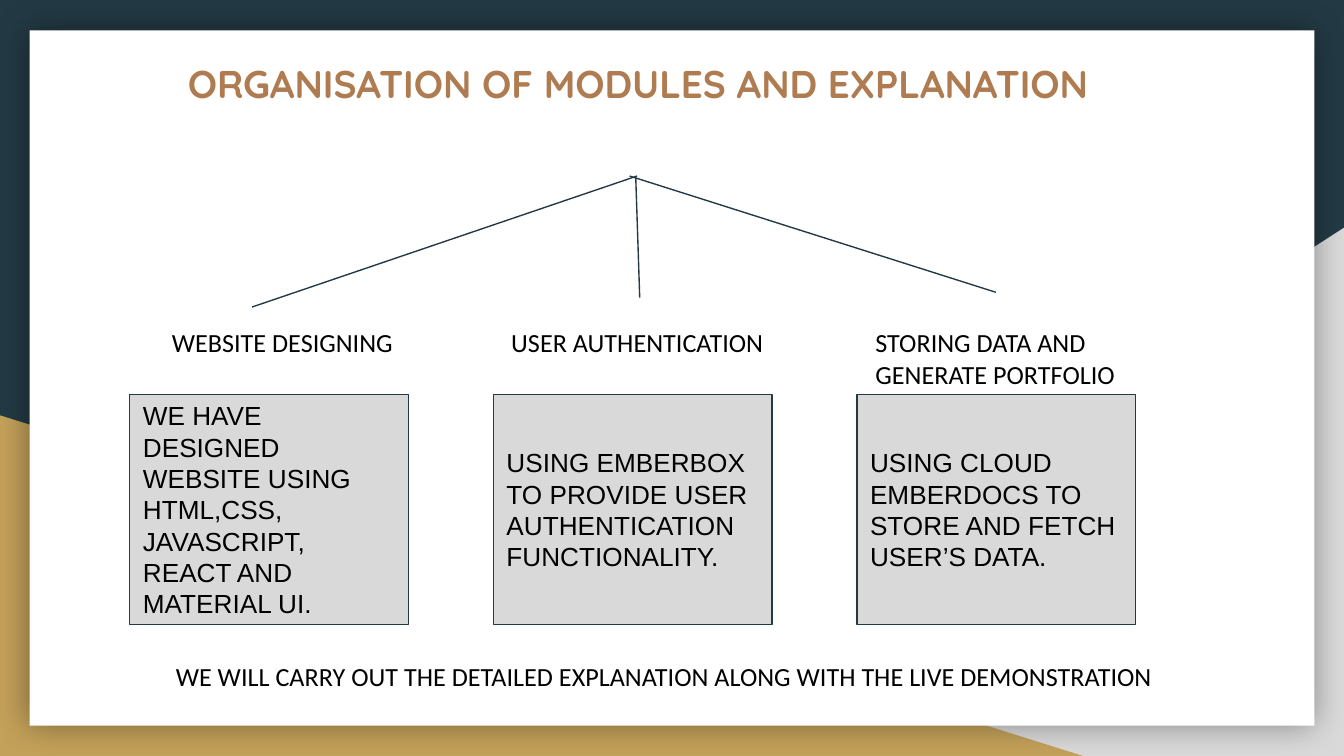
from dataclasses import dataclass

import pptx
import pptx.dml.color
import pptx.enum.shapes
import pptx.enum.text
import pptx.oxml.ns
import pptx.util
from lxml import etree

EMU_PER_PX = 4572
SHAPES = pptx.enum.shapes.MSO_SHAPE
ANCHOR = pptx.enum.text.MSO_ANCHOR


@dataclass(frozen=True)
class Theme:
    navy: str = "233A44"
    gold: str = "C4A15A"
    grey: str = "D9D9D9"
    white: str = "FFFFFF"
    black: str = "000000"
    title: str = "AF7B51"
    title_font: str = "Quicksand"
    label_font: str = "Calibri"
    body_font: str = "Arial"
    title_size: float = 20.7
    body_size: float = 14
    line_width: float = 0.75


THEME = Theme()


@dataclass(frozen=True)
class Box:
    left: int
    top: int
    width: int
    height: int


@dataclass(frozen=True)
class TextStyle:
    font: str
    size: float
    color: str
    bold: bool = False


@dataclass(frozen=True)
class Module:
    label: str
    label_box: Box
    paragraphs: tuple[str, ...]
    branch_start: tuple[int, int]
    branch_end: tuple[int, int]


TITLE_STYLE = TextStyle(THEME.title_font, THEME.title_size, THEME.title, True)
LABEL_STYLE = TextStyle(THEME.label_font, THEME.body_size, THEME.black)
BODY_STYLE = TextStyle(THEME.body_font, THEME.body_size, THEME.black)

CARD_LEFT = 193
CARD_PITCH = 541

MODULES = (
    Module("WEBSITE DESIGNING", Box(236, 466, 400, 88),
           ("WE HAVE DESIGNED WEBSITE USING HTML,CSS,", "JAVASCRIPT,",
            "REACT AND", "MATERIAL UI."),
           (948, 262), (375, 457)),
    Module("USER AUTHENTICATION", Box(741, 466, 436, 88),
           ("USING EMBERBOX TO PROVIDE USER AUTHENTICATION FUNCTIONALITY.",),
           (946, 262), (952, 443)),
    Module("STORING DATA AND GENERATE PORTFOLIO", Box(1283, 466, 400, 134),
           ("USING CLOUD EMBERDOCS TO STORE AND FETCH USER’S DATA.",),
           (937, 262), (1482, 435)),
)


def px(length: int) -> pptx.util.Emu:
    return pptx.util.Emu(length * EMU_PER_PX)


def rgb(color: str) -> pptx.dml.color.RGBColor:
    return pptx.dml.color.RGBColor.from_string(color)


def place(box: Box) -> tuple:
    return px(box.left), px(box.top), px(box.width), px(box.height)


def write_text(shape, paragraphs: tuple[str, ...], style: TextStyle, anchor=ANCHOR.TOP) -> None:
    frame = shape.text_frame
    frame.word_wrap = True
    frame.vertical_anchor = anchor
    frame.margin_left = frame.margin_right = px(20)
    frame.margin_top = frame.margin_bottom = px(20)
    for index, text in enumerate(paragraphs):
        paragraph = frame.add_paragraph() if index else frame.paragraphs[0]
        paragraph.alignment = pptx.enum.text.PP_ALIGN.LEFT
        run = paragraph.add_run()
        run.text = text
        run.font.name = style.font
        run.font.size = pptx.util.Pt(style.size)
        run.font.bold = style.bold
        run.font.color.rgb = rgb(style.color)


def draw_text(slide, box: Box, text: str, style: TextStyle) -> None:
    write_text(slide.shapes.add_textbox(*place(box)), (text,), style)


def draw_shape(slide, kind, box: Box, fill: str, outline: str | None = None):
    shape = slide.shapes.add_shape(kind, *place(box))
    shape.shadow.inherit = False
    shape.fill.solid()
    shape.fill.fore_color.rgb = rgb(fill)
    if outline:
        shape.line.color.rgb = rgb(outline)
        shape.line.width = pptx.util.Pt(THEME.line_width)
    else:
        shape.line.fill.background()
    return shape


def add_soft_shadow(shape) -> None:
    qn = pptx.oxml.ns.qn
    effects = shape._element.spPr.find(qn("a:effectLst"))
    shadow = etree.SubElement(effects, qn("a:outerShdw"), blurRad=str(pptx.util.Pt(18)),
                              dist="0", dir="0", algn="ctr", rotWithShape="0")
    color = etree.SubElement(shadow, qn("a:srgbClr"), val=THEME.black)
    etree.SubElement(color, qn("a:alpha"), val="40000")


def draw_branch(slide, start: tuple[int, int], end: tuple[int, int]) -> None:
    connector = slide.shapes.add_connector(
        pptx.enum.shapes.MSO_CONNECTOR.STRAIGHT, *map(px, start + end))
    connector.line.color.rgb = rgb(THEME.navy)
    connector.line.width = pptx.util.Pt(THEME.line_width)
    etree.SubElement(connector._element.spPr, pptx.oxml.ns.qn("a:effectLst"))


def draw_backdrop(slide) -> None:
    slide.background.fill.solid()
    slide.background.fill.fore_color.rgb = rgb(THEME.navy)
    corner = draw_shape(slide, SHAPES.RIGHT_TRIANGLE, Box(784, 339, 1216, 786), THEME.grey)
    corner._element.spPr.xfrm.set("flipH", "1")
    draw_shape(slide, SHAPES.RIGHT_TRIANGLE, Box(0, 618, 1612, 507), THEME.gold)
    add_soft_shadow(draw_shape(slide, SHAPES.RECTANGLE, Box(44, 45, 1912, 1035), THEME.white))


def draw_modules(slide, modules: tuple[Module, ...]) -> None:
    for module in modules:
        draw_branch(slide, module.branch_start, module.branch_end)
    for module in modules:
        draw_text(slide, module.label_box, module.label, LABEL_STYLE)
    for index, module in enumerate(modules):
        box = Box(CARD_LEFT + index * CARD_PITCH, 587, 415, 342)
        card = draw_shape(slide, SHAPES.RECTANGLE, box, THEME.grey, THEME.navy)
        write_text(card, module.paragraphs, BODY_STYLE, ANCHOR.MIDDLE)


def main() -> None:
    presentation = pptx.Presentation()
    presentation.slide_width = px(2000)
    presentation.slide_height = px(1125)
    slide = presentation.slides.add_slide(presentation.slide_layouts[6])
    draw_backdrop(slide)
    draw_text(slide, Box(260, 69, 1706, 106),
              "ORGANISATION OF MODULES AND EXPLANATION", TITLE_STYLE)
    draw_modules(slide, MODULES)
    draw_text(slide, Box(242, 963, 1506, 88),
              "WE WILL CARRY OUT THE DETAILED EXPLANATION ALONG WITH THE LIVE DEMONSTRATION",
              LABEL_STYLE)
    presentation.save("out.pptx")


if __name__ == "__main__":
    main()
